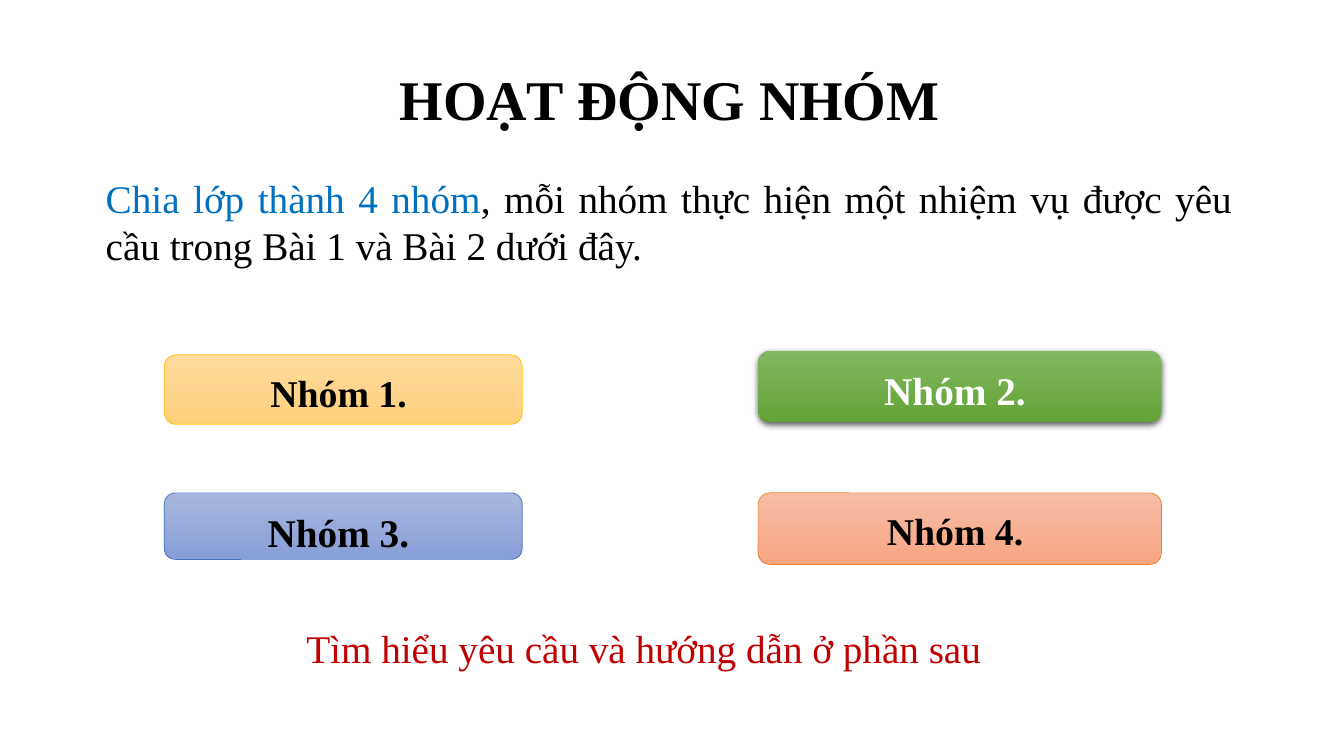
import lxml.etree
import pptx
import pptx.dml.color
import pptx.enum.shapes
import pptx.enum.text
import pptx.oxml
import pptx.oxml.ns
import pptx.util

COLORS = {
    "ink": "000000",
    "white": "FFFFFF",
    "accent": "0070C0",
    "prompt": "C00000",
    "yellow": ("FFDB9E", "FFD07C", "FFC000"),
    "green": ("81B861", "62A336", None),
    "blue": ("A8B7DF", "889ED7", "4472C4"),
    "orange": ("F7BDA5", "F8A582", "ED7D31"),
}
FONT = "Times New Roman"
SLIDE_WIDTH = pptx.util.Inches(13.33)
SLIDE_HEIGHT = pptx.util.Inches(7.5)
LEFT_COLUMN = (12.23, 26.63)
RIGHT_COLUMN = (56.41, 30.01)
SECOND_ROW = 65.2
ALIGN = pptx.enum.text.PP_ALIGN
ANCHOR = pptx.enum.text.MSO_ANCHOR


def rgb(hex_color):
    return pptx.dml.color.RGBColor.from_string(hex_color)


def place(left, top, width, height):
    """Turn percentages of the slide into lengths."""
    return (int(SLIDE_WIDTH * left / 100), int(SLIDE_HEIGHT * top / 100),
            int(SLIDE_WIDTH * width / 100), int(SLIDE_HEIGHT * height / 100))


def write(frame, parts, size, align, anchor, bold=False):
    """Fill one paragraph with (text, colour name) parts."""
    frame.word_wrap = True
    frame.vertical_anchor = anchor
    paragraph = frame.paragraphs[0]
    paragraph.alignment = align
    paragraph.font.name = FONT
    paragraph.font.size = pptx.util.Pt(size)
    paragraph.font.bold = bold
    for text, color in parts:
        run = paragraph.add_run()
        run.text = text
        run.font.color.rgb = rgb(COLORS[color])
    return paragraph


def add_text(slide, area, parts, size, align=ALIGN.CENTER,
             anchor=ANCHOR.MIDDLE, bold=False):
    box = slide.shapes.add_textbox(*place(*area))
    return write(box.text_frame, parts, size, align, anchor, bold)


def add_drop_shadow(card):
    effects = card._element.spPr.find(pptx.oxml.ns.qn("a:effectLst"))
    effects.append(pptx.oxml.parse_xml(
        f'<a:outerShdw {pptx.oxml.ns.nsdecls("a")} blurRad="57150" dist="19050" '
        'dir="5400000" algn="ctr" rotWithShape="0">'
        f'<a:srgbClr val="{COLORS["ink"]}"><a:alpha val="63000"/></a:srgbClr>'
        '</a:outerShdw>'))


def add_group_card(slide, column, top, height, label, palette, size,
                   text_color="ink"):
    left, width = column
    card = slide.shapes.add_shape(
        pptx.enum.shapes.MSO_SHAPE.ROUNDED_RECTANGLE,
        *place(left, top, width, height))
    card.shadow.inherit = False
    light, dark, outline = COLORS[palette]
    card.fill.gradient()
    card.fill.gradient_angle = 270
    for stop, shade in zip(card.fill.gradient_stops, (light, dark)):
        stop.color.rgb = rgb(shade)
    if outline:
        card.line.color.rgb = rgb(outline)
        card.line.width = pptx.util.Pt(0.5)
    else:
        card.line.fill.background()
        add_drop_shadow(card)
    paragraph = write(card.text_frame, [(label, text_color)], size,
                      ALIGN.CENTER, ANCHOR.TOP, bold=True)
    paragraph.line_spacing = 1.15
    paragraph.space_before = paragraph.space_after = pptx.util.Pt(6)


def main():
    deck = pptx.Presentation()
    deck.slide_width, deck.slide_height = SLIDE_WIDTH, SLIDE_HEIGHT
    slide = deck.slides.add_slide(deck.slide_layouts[6])

    title = add_text(slide, (6.68, 8.4, 86.27, 10.27),
                     [("HOẠT ĐỘNG NHÓM", "ink")], 40, bold=True)
    title.line_spacing = 0.9
    add_text(slide, (7.13, 22.4, 85.3, 13.87),
             [("Chia lớp thành 4 nhóm", "accent"),
              (", mỗi nhóm thực hiện một nhiệm vụ được yêu cầu trong "
               "Bài 1 và Bài 2 dưới đây.", "ink")],
             28, ALIGN.JUSTIFY, ANCHOR.TOP)

    add_group_card(slide, LEFT_COLUMN, 46.93, 9.2, "Nhóm 1. ", "yellow", 27)
    add_group_card(slide, RIGHT_COLUMN, 46.4, 9.47, "Nhóm 2. ", "green", 28,
                   "white")
    add_group_card(slide, LEFT_COLUMN, SECOND_ROW, 8.8, "Nhóm 3. ", "blue", 28)
    add_group_card(slide, RIGHT_COLUMN, SECOND_ROW, 9.47, "Nhóm 4. ", "orange",
                   27)

    add_text(slide, (19.95, 83.07, 55.89, 5.33),
             [("Tìm hiểu yêu cầu và hướng dẫn ở phần sau", "prompt")], 28)
    deck.save("out.pptx")


if __name__ == "__main__":
    main()
